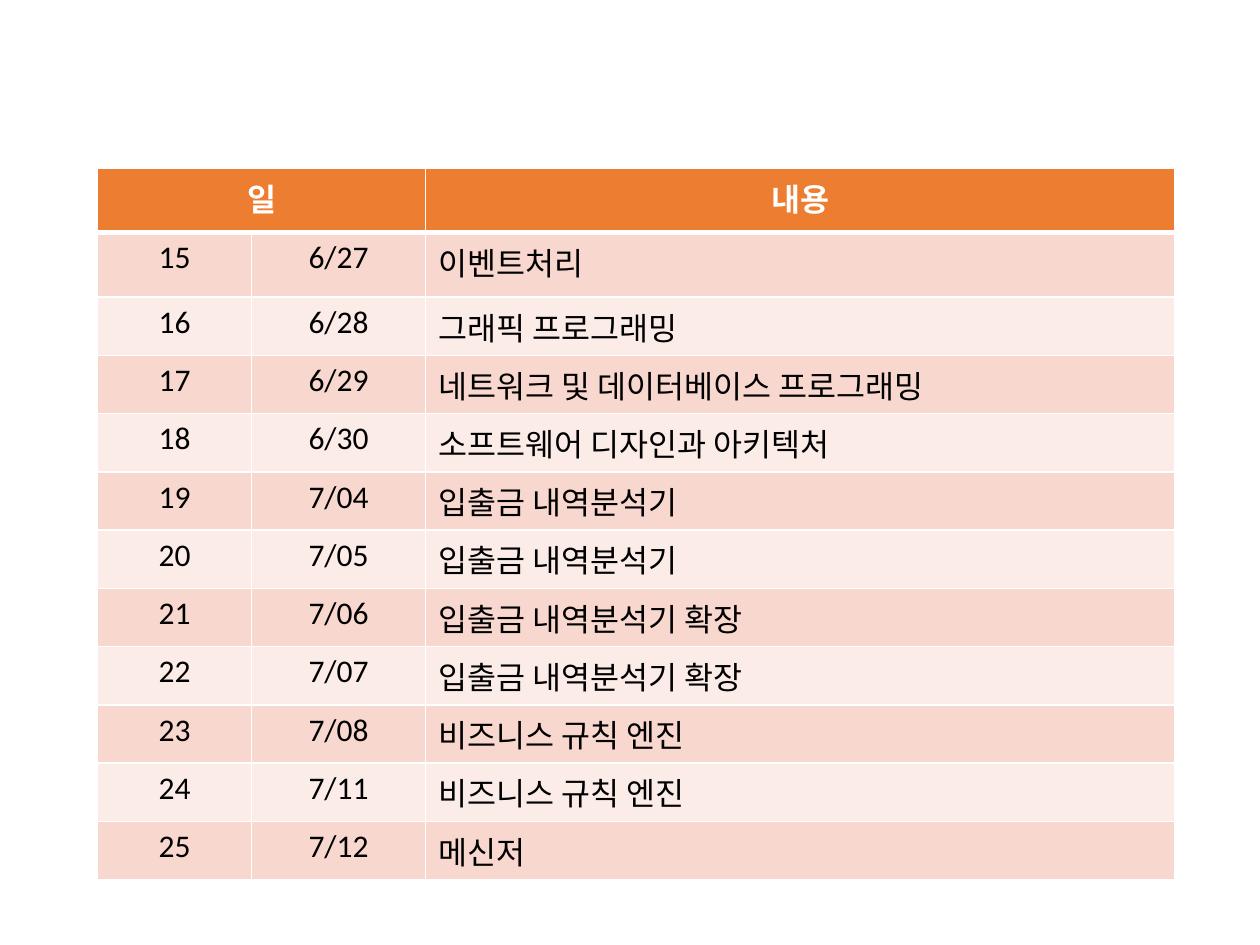
import pptx
import pptx.dml.color
import pptx.enum.text
import pptx.oxml
import pptx.oxml.ns
import pptx.util
from pptx.util import Cm

HEADINGS = ("일", "", "내용")
LESSONS = [
    ("6/27", "이벤트처리"),
    ("6/28", "그래픽 프로그래밍"),
    ("6/29", "네트워크 및 데이터베이스 프로그래밍"),
    ("6/30", "소프트웨어 디자인과 아키텍처"),
    ("7/04", "입출금 내역분석기"),
    ("7/05", "입출금 내역분석기"),
    ("7/06", "입출금 내역분석기 확장"),
    ("7/07", "입출금 내역분석기 확장"),
    ("7/08", "비즈니스 규칙 엔진"),
    ("7/11", "비즈니스 규칙 엔진"),
    ("7/12", "메신저"),
]
FIRST_DAY = 15
COLUMN_WIDTHS = (3.1, 3.51, 15.11)
TALL_ROW, LESSON_ROW = 1.3, 0.97
HEADING_FILL, BAND_FILLS = "ED7D31", ("F8D7CE", "FCECE8")
WHITE, BLACK = "FFFFFF", "000000"


def color(value):
    """Turn a hex string into a colour."""
    return pptx.dml.color.RGBColor.from_string(value)


def add_borders(cell, bottom):
    """Draw white cell borders, with the given bottom width in points."""
    properties = cell._tc.get_or_add_tcPr()
    widths = {"lnL": 1, "lnR": 1, "lnT": 1, "lnB": bottom}
    for position, (side, width) in enumerate(widths.items()):
        border = pptx.oxml.parse_xml(
            f'<a:{side} {pptx.oxml.ns.nsdecls("a")} w="{pptx.util.Pt(width)}">'
            f'<a:solidFill><a:srgbClr val="{WHITE}"/></a:solidFill></a:{side}>')
        properties.insert(position, border)


def fill_cell(cell, text, fill, heading, centered):
    """Set the wording and look of one cell."""
    cell.fill.solid()
    cell.fill.fore_color.rgb = color(fill)
    add_borders(cell, 3 if heading else 1)
    paragraph = cell.text_frame.paragraphs[0]
    paragraph.text = text
    if centered:
        paragraph.alignment = pptx.enum.text.PP_ALIGN.CENTER
    for run in paragraph.runs:
        run.font.name = "Calibri"
        run.font.size = pptx.util.Pt(18)
        run.font.bold = heading
        run.font.color.rgb = color(WHITE if heading else BLACK)


deck = pptx.Presentation()
deck.slide_width, deck.slide_height = Cm(25.4), Cm(19.05)
slide = deck.slides.add_slide(deck.slide_layouts[6])

rows = [HEADINGS] + [(str(day), date, topic) for day, (date, topic)
                     in enumerate(LESSONS, FIRST_DAY)]
heights = [TALL_ROW] * 2 + [LESSON_ROW] * (len(rows) - 2)
schedule = slide.shapes.add_table(
    len(rows), len(COLUMN_WIDTHS), Cm(1.97), Cm(3.39),
    Cm(sum(COLUMN_WIDTHS)), Cm(sum(heights))).table

for column, width in zip(schedule.columns, COLUMN_WIDTHS):
    column.width = Cm(width)
for number, (row, height) in enumerate(zip(rows, heights)):
    schedule.rows[number].height = Cm(height)
    heading = number == 0
    fill = HEADING_FILL if heading else BAND_FILLS[(number - 1) % 2]
    for place, text in enumerate(row):
        fill_cell(schedule.cell(number, place), text, fill, heading,
                  centered=heading or place < 2)
schedule.cell(0, 0).merge(schedule.cell(0, 1))

deck.save("out.pptx")
